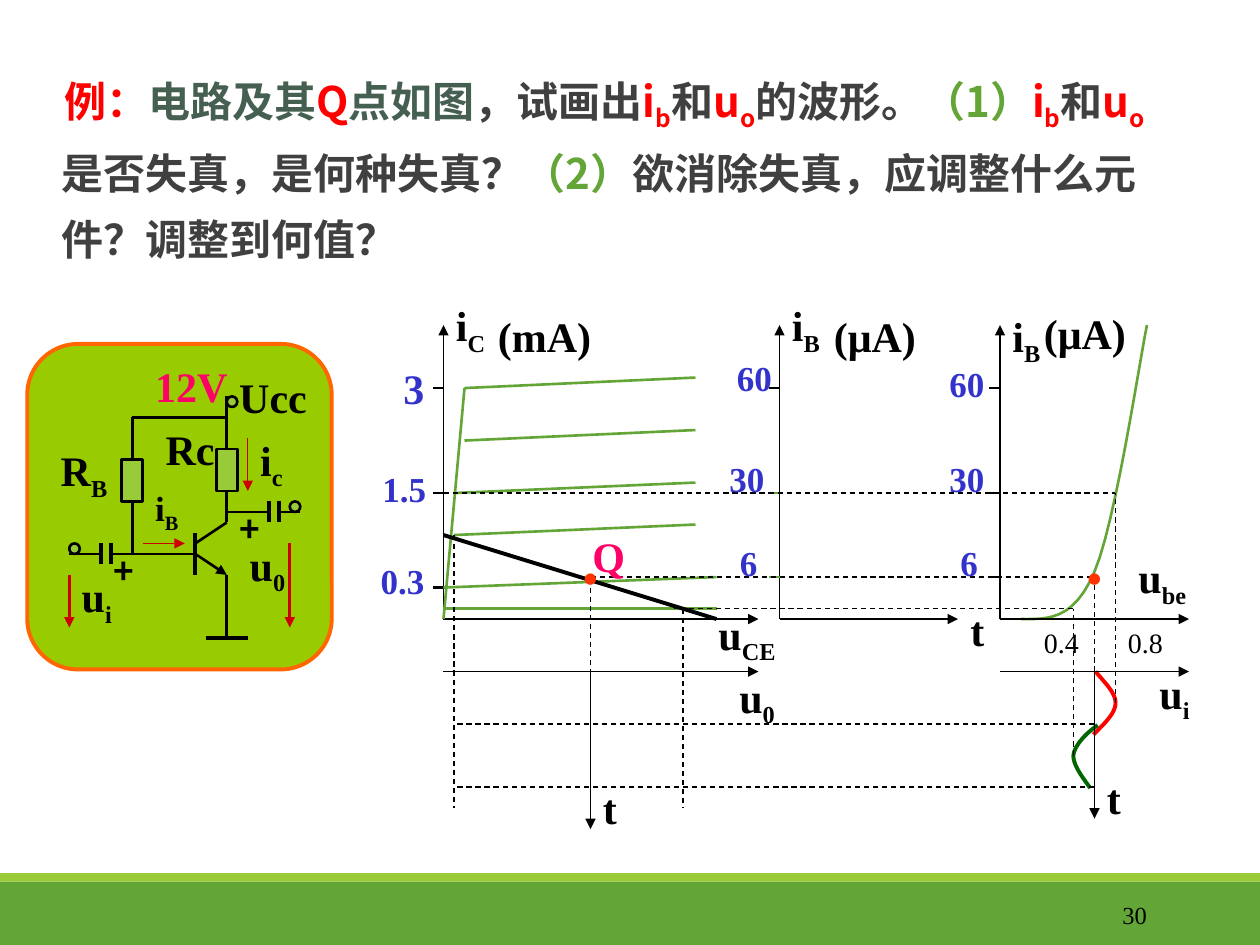
from typing import NamedTuple

from lxml.etree import SubElement
from pptx import Presentation
from pptx.dml.color import RGBColor
from pptx.enum.dml import MSO_LINE
from pptx.enum.shapes import MSO_CONNECTOR, MSO_SHAPE as Preset
from pptx.enum.text import MSO_ANCHOR, MSO_AUTO_SIZE, PP_ALIGN as Align
from pptx.oxml.ns import qn
from pptx.util import Inches, Pt

COLORS = {"green": "63A537", "lime": "99CB38", "panel": "99CC00", "orange": "FF6600",
          "black": "000000", "red": "FF0000", "crimson": "CC0000", "pink": "FF0066",
          "dot": "FF3300", "blue": "3333CC", "dark green": "006600",
          "slate": "455F51", "gray": "404040"}
LATIN, CJK = "Times New Roman", "Noto Sans CJK SC"
WIDTH, HEIGHT = Inches(10), Inches(7.5)


class Grid(NamedTuple):
    """Cells of a twelfth of an inch, counted from an origin in inches."""
    left: float
    top: float

    def x(self, col: float) -> int:
        return Inches(self.left + col / 12)

    def y(self, row: float) -> int:
        return Inches(self.top + row / 12)


class Stroke(NamedTuple):
    color: str = "black"
    width: float = 0.75
    dashed: bool = False
    arrow: bool = False


class Label(NamedTuple):
    text: str  # what follows "_" is a subscript
    col: float
    row: float
    cols: float
    size: int = 24
    color: str = "black"
    align: Align = Align.LEFT
    wrap: bool = True
    bold: bool = True
    font: str = LATIN


GRAPHS, CIRCUIT = Grid(3.52, 2.58), Grid(0.05, 2.73)
AXIS, DASH = Stroke(arrow=True), Stroke(dashed=True)
THIN, WIRE, PLATE = Stroke(), Stroke(width=1.5), Stroke(width=2.25)
CURVE = Stroke("green", 1.5)

prs = Presentation()
prs.slide_width, prs.slide_height = WIDTH, HEIGHT
slide = prs.slides.add_slide(prs.slide_layouts[0])
shapes = slide.shapes


def rgb(name: str) -> RGBColor:
    return RGBColor.from_string(COLORS[name])


def set_line(line, stroke: Stroke) -> None:
    line.color.rgb = rgb(stroke.color)
    line.width = Pt(stroke.width)
    if stroke.dashed:
        line.dash_style = MSO_LINE.DASH


def draw_lines(grid: Grid, stroke: Stroke, *ends: tuple) -> None:
    for c1, r1, c2, r2 in ends:
        segment = shapes.add_connector(MSO_CONNECTOR.STRAIGHT, grid.x(c1), grid.y(r1),
                                       grid.x(c2), grid.y(r2))
        set_line(segment.line, stroke)
        if stroke.arrow:
            SubElement(segment.line._get_or_add_ln(), qn("a:tailEnd"), type="triangle")
        SubElement(segment._element.spPr, qn("a:effectLst"))


def draw_shape(preset: Preset, box: tuple, fill: str, stroke: Stroke | None = None):
    shape = shapes.add_shape(preset, *box)
    shape.shadow.inherit = False
    shape.fill.solid()
    shape.fill.fore_color.rgb = rgb(fill)
    if stroke:
        set_line(shape.line, stroke)
    else:
        shape.line.fill.background()
    return shape


def cell_box(grid: Grid, col: float, row: float, cols: float, rows: float) -> tuple:
    return grid.x(col), grid.y(row), Inches(cols / 12), Inches(rows / 12)


def draw_curve(grid: Grid, stroke: Stroke, points: list, steps: int = 12) -> None:
    """Trace a chain of cubic Bezier arcs that share their end points."""
    traced = []
    for first in range(0, len(points) - 1, 3):
        arc = points[first:first + 4]
        for step in range(steps + 1):
            t = step / steps
            weights = ((1 - t) ** 3, 3 * t * (1 - t) ** 2, 3 * t ** 2 * (1 - t), t ** 3)
            col, row = (sum(w * p[axis] for w, p in zip(weights, arc)) for axis in (0, 1))
            traced.append((grid.x(col), grid.y(row)))
    builder = shapes.build_freeform(*traced[0])
    builder.add_line_segments(traced[1:], close=False)
    curve = builder.convert_to_shape()
    curve.shadow.inherit = False
    curve.fill.background()
    set_line(curve.line, stroke)


def add_run(paragraph, text: str, subscript: bool = False):
    run = paragraph.add_run()
    run.text = text
    if subscript:
        run._r.get_or_add_rPr().set("baseline", "-25000")
    return run


def set_font(paragraph, name: str, size: int, bold: bool) -> None:
    font = paragraph.font
    font.name, font.size, font.bold = name, Pt(size), bold
    SubElement(font._element, qn("a:ea"), typeface=name)


def draw_labels(grid: Grid, *labels: Label) -> None:
    for label in labels:
        box = cell_box(grid, label.col, label.row, label.cols, label.size / 4)
        frame = shapes.add_textbox(*box).text_frame
        frame.word_wrap = label.wrap
        paragraph = frame.paragraphs[0]
        paragraph.alignment = label.align
        for level, part in enumerate(label.text.split("_")):
            add_run(paragraph, part, subscript=level > 0)
        set_font(paragraph, label.font, label.size, label.bold)
        paragraph.font.color.rgb = rgb(label.color)


# Footer bands and page number
draw_shape(Preset.RECTANGLE, (0, int(HEIGHT * 0.933), WIDTH, int(HEIGHT * 0.067)), "green")
draw_shape(Preset.RECTANGLE, (0, int(HEIGHT * 0.924), WIDTH, int(HEIGHT * 0.009)), "lime")
page = shapes.add_textbox(Inches(8.12), Inches(7.06), Inches(1.08), Inches(0.4)).text_frame
page.vertical_anchor = MSO_ANCHOR.MIDDLE
page.word_wrap = True
page.text = "30"
page.paragraphs[0].alignment = Align.RIGHT
set_font(page.paragraphs[0], LATIN, 14, False)

# Problem statement
slide.shapes.title._element.getparent().remove(slide.shapes.title._element)
problem = slide.placeholders[1]
problem.left, problem.top = Inches(0.42), Inches(0.41)
problem.width, problem.height = Inches(8.83), Inches(1.92)
statement = problem.text_frame
statement.word_wrap, statement.auto_size = True, MSO_AUTO_SIZE.NONE
statement.vertical_anchor = MSO_ANCHOR.TOP
statement.margin_left = statement.margin_right = 0
question = statement.paragraphs[0]
properties = question._p.get_or_add_pPr()
properties.set("marL", str(Inches(0.07)))
properties.set("indent", str(-Inches(0.07)))
SubElement(properties, qn("a:buChar"), char=" ")
question.alignment, question.line_spacing = Align.LEFT, 1.3
question.space_before, question.space_after = Pt(0), Pt(1.5)
set_font(question, CJK, 24, True)
for text, color in [("例：", "red"), ("电路及其", "slate"), ("Q", "red"), ("点如图", "slate"),
                    ("，试画出", "gray"), ("i_b", "red"), ("和", "gray"), ("u_o", "red"),
                    ("的波形。", "gray"), ("（1）", "green"), ("i_b", "red"), ("和", "gray"),
                    ("u_o", "red"), ("是否失真，是何种失真？", "gray"), ("（2）", "green"),
                    ("欲消除失真，应调整什么元件？调整到何值？", "gray")]:
    for level, part in enumerate(text.split("_")):
        add_run(question, part, subscript=level > 0).font.color.rgb = rgb(color)

# Graphs: input signal, axes, characteristics, load line, projections, ticks
draw_curve(GRAPHS, Stroke("red", 2.25), [(62.1, 33), (63, 34.1), (64, 35), (64, 36),
                                         (64, 37), (62.9, 38), (61.9, 39)])
draw_curve(GRAPHS, Stroke("dark green", 2.25), [(61.6, 44.1), (60.8, 43), (59.9, 41.8), (60, 40.9),
                                                (60.2, 39.9), (61.2, 38.9), (62.3, 38.1)])
draw_curve(GRAPHS, CURVE, [(55, 28), (57.5, 28), (60, 28.2), (62, 23.5),
                           (64, 18.8), (66.2, 4), (67, 0)])
draw_lines(GRAPHS, AXIS, (0, 28, 30, 28), (0, 28, 0, 0), (32, 28, 49, 28), (32, 28, 32, 0),
           (53, 28, 71, 28), (53, 28, 53, 0), (0, 33, 30, 33), (14, 33, 14, 48),
           (53, 33, 71, 33), (62, 33, 62, 47))
draw_lines(GRAPHS, CURVE, (0, 28, 2, 6), (2, 6, 24, 5), (2, 11, 24, 10), (1, 16, 24, 15),
           (1, 20, 24, 19), (0, 25, 26, 24), (0, 27, 26, 27), (32, 16, 31, 16), (32, 24, 31, 24))
draw_lines(GRAPHS, PLATE, (0, 20, 26, 28))
draw_lines(GRAPHS, DASH, (0, 16, 64, 16), (60, 41, 60, 27), (60, 27, 22, 27), (62, 33, 62, 24),
           (14, 24, 62, 24), (14, 25, 14, 34), (64, 36, 64, 16), (1, 20, 1, 46),
           (22.8, 27, 22.8, 46), (62, 38, 1, 38), (62, 44, 1, 44))
draw_lines(GRAPHS, THIN, *((52, row, 53, row) for row in (6, 16, 24)))
draw_lines(GRAPHS, WIRE, (32, 6, 31, 6), *((0, row, -1, row) for row in (6, 16, 25)))
draw_labels(
    GRAPHS, Label("i_C", 0, -3, 5.4, wrap=False), Label("(mA)", 4, -2, 17), Label("i_B", 32, -3, 6),
    Label("(μA)", 36, -2, 12), Label("i_B", 53, -2, 9), Label("(μA)", 56, -2.3, 12, wrap=False),
    Label("u_CE", 25, 26.4, 8.3, wrap=False), Label("u_0", 27, 32.4, 6, wrap=False),
    Label("u_be", 65, 21, 8), Label("u_i", 67, 32, 8),
    Label("t", 14, 43, 7), Label("t", 49, 26, 4), Label("t", 62, 42, 5),
    Label("0.4", 56, 28, 6, 16, bold=False), Label("0.8", 64, 28, 7, 16, bold=False),
    Label("3", -5, 3, 4, color="blue"), Label("1.5", -7, 13, 7, 20, "blue"),
    Label("60", 47, 3, 7, 20, "blue"), Label("30", 47, 12, 8, 20, "blue"),
    *(Label(value, col, row, cols, 20, "blue", Align.CENTER, wrap=False)
      for value, col, row, cols in [("60", 26.7, 2.4, 5.8), ("30", 26, 12, 5.8), ("6", 27, 20, 4.1),
                                    ("6", 48, 20, 4.1), ("0.3", -7.2, 21.7, 6.6)]),
    *(Label("•", col, 21, 8, color="dot", align=Align.CENTER) for col in (10, 58)),
    Label("Q", 13, 19, 7, color="pink"))

# Amplifier circuit: panel, wires, capacitors, transistor, currents, parts
panel = draw_shape(Preset.ROUNDED_RECTANGLE, cell_box(CIRCUIT, 2, 0, 29, 31), "panel",
                   Stroke("orange", 2.25))
panel.adjustments[0] = 0.167
draw_lines(CIRCUIT, WIRE, (6, 20, 9, 20), (10, 20, 18, 20), (18, 19, 21, 17), (21, 17, 21, 5),
           (21, 22, 21, 28), (12, 7, 21, 7), (21, 16, 25, 16), (26, 16, 28, 16), (12, 7, 12, 20))
draw_lines(CIRCUIT, PLATE, (25, 15, 25, 17), (26, 15, 26, 17), (9, 19, 9, 21), (10, 19, 10, 21),
           (18, 18, 18, 22), (19, 28, 23, 28))
draw_lines(CIRCUIT, Stroke(width=1.5, arrow=True), (18, 20, 21, 22))
draw_lines(CIRCUIT, Stroke("crimson", arrow=True), (13, 19, 17, 19), (23, 9, 23, 14))
draw_lines(CIRCUIT, Stroke("crimson", 1.5, arrow=True), (27, 19, 27, 27), (6, 22, 6, 27))
for col, row in [(20, 10), (11, 11)]:
    draw_shape(Preset.RECTANGLE, cell_box(CIRCUIT, col, row, 2, 4), "lime", WIRE)
for col, row in [(6, 19), (21, 5), (27, 15)]:
    draw_shape(Preset.OVAL, cell_box(CIRCUIT, col, row, 1, 1), "lime", WIRE)
draw_labels(
    CIRCUIT, Label("i_B", 13, 13, 6, 20), Label("u_i", 6, 21, 7), Label("i_c", 23, 8, 6),
    Label("u_0", 22, 18, 7), Label("Ucc", 21, 2, 9), Label("R_B", 4, 9, 8), Label("Rc", 14, 7, 11),
    Label("+", 21, 15, 5, 20, font=CJK), Label("+", 9, 19, 5, 20, font=CJK),
    Label("12V", 13, 1, 11, color="pink"))

prs.save("out.pptx")
